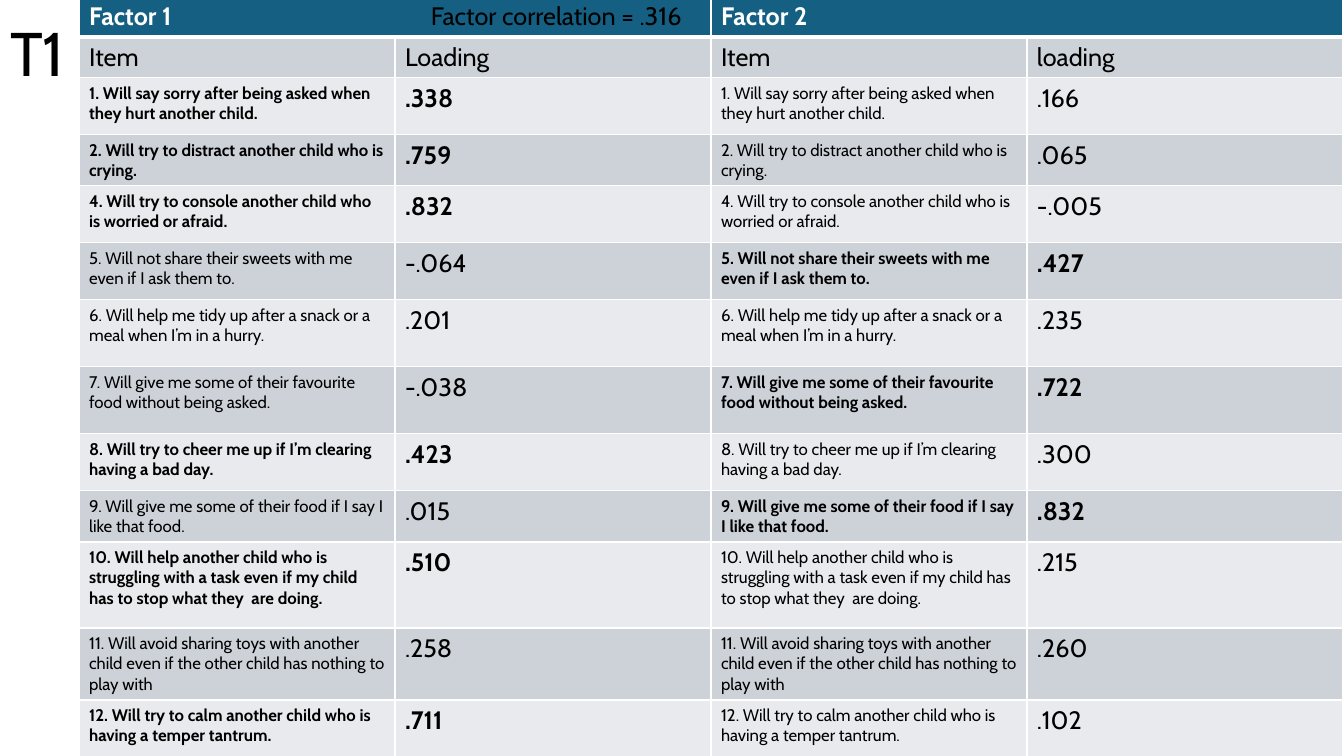
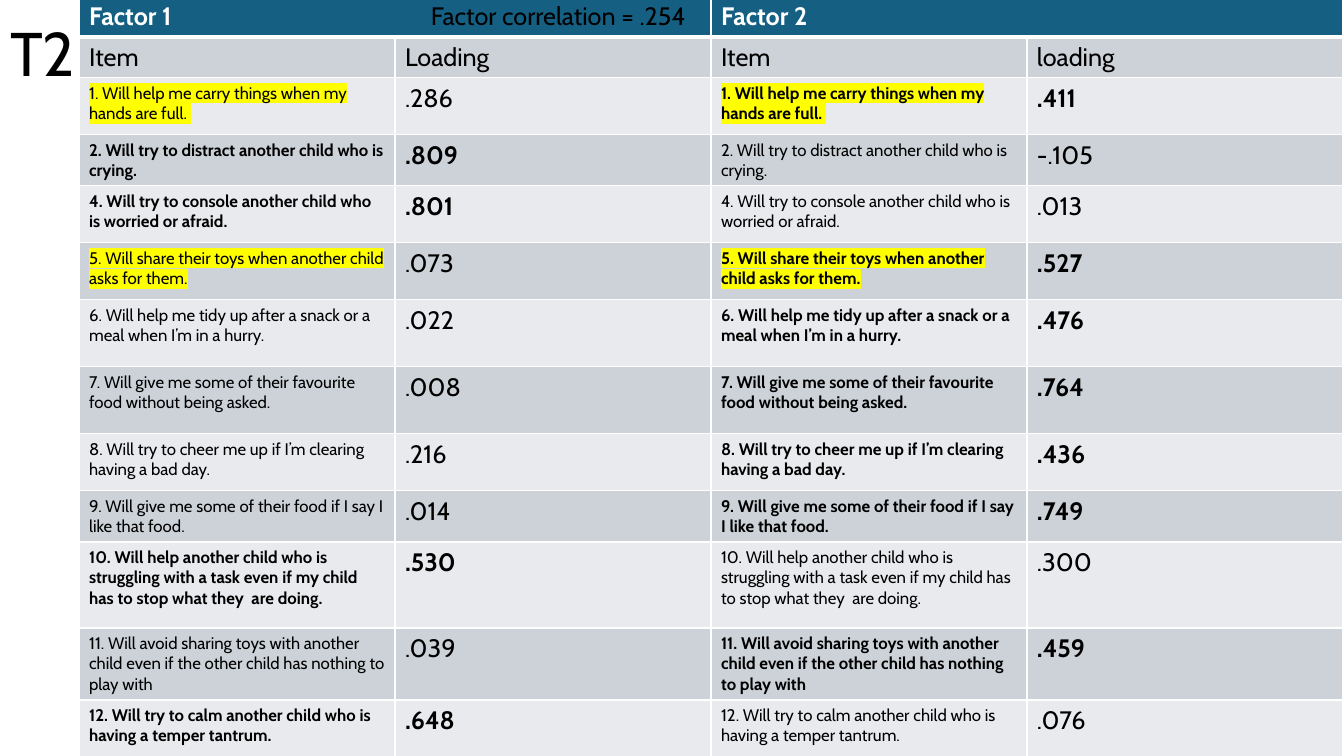
import pptx
import pptx.dml.color
import pptx.enum.text
import pptx.oxml
import pptx.oxml.ns
import pptx.util

COLORS = {
    "header": "156082",
    "band_dark": "CCD2D8",
    "band_light": "E8EAED",
    "white": "FFFFFF",
    "black": "000000",
    "marker": "FFFF00",
}
FONT = "Cabin"
SLIDE_WIDTH, SLIDE_HEIGHT = 1344, 756
EMU_PER_PX = 12192000 / SLIDE_WIDTH

TITLE_BOX = (0, -16, 1159, 146)
TABLE_LEFT, TABLE_TOP, COLUMN_WIDTH = 79, -4, 316
CORRELATION_BOX = (421, -5, 378, 40)
ROW_HEIGHTS = [40, 40, 57, 51, 57, 57, 67, 67, 57, 51, 86, 72, 57]
SALIENT_LOADING = 0.3

FACTORS = ["Factor 1", "Factor 2"]
COLUMN_HEADS = ["Item", "Loading", "Item", "loading"]
COMMON_ITEMS = {
    2: "Will try to distract another child who is crying.",
    4: "Will try to console another child who is worried or afraid.",
    6: "Will help me tidy up after a snack or a meal when I’m in a hurry.",
    7: "Will give me some of their favourite food without being asked.",
    8: "Will try to cheer me up if I’m clearing having a bad day.",
    9: "Will give me some of their food if I say I like that food.",
    10: "Will help another child who is struggling with a task even if my child "
        "has to stop what they  are doing.",
    11: "Will avoid sharing toys with another child even if the other child has "
        "nothing to play with",
    12: "Will try to calm another child who is having a temper tantrum.",
}
WAVES = [
    {
        "title": "T1",
        "correlation": ".316",
        "own_items": {
            1: "Will say sorry after being asked when they hurt another child.",
            5: "Will not share their sweets with me even if I ask them to.",
        },
        "marked": (),
        "loadings": [
            (".338", ".166"), (".759", ".065"), (".832", "-.005"),
            ("-.064", ".427"), (".201", ".235"), ("-.038", ".722"),
            (".423", ".300"), (".015", ".832"), (".510", ".215"),
            (".258", ".260"), (".711", ".102"),
        ],
    },
    {
        "title": "T2",
        "correlation": ".254",
        "own_items": {
            1: "Will help me carry things when my hands are full. ",
            5: "Will share their toys when another child asks for them.",
        },
        "marked": (1, 5),
        "loadings": [
            (".286", ".411"), (".809", "-.105"), (".801", ".013"),
            (".073", ".527"), (".022", ".476"), (".008", ".764"),
            (".216", ".436"), (".014", ".749"), (".530", ".300"),
            (".039", ".459"), (".648", ".076"),
        ],
    },
]


def px(length):
    return pptx.util.Emu(round(length * EMU_PER_PX))


def rgb(name):
    return pptx.dml.color.RGBColor.from_string(COLORS[name])


def drawing_xml(tag, attributes, content):
    namespace = pptx.oxml.ns.nsdecls("a")
    return pptx.oxml.parse_xml(f"<a:{tag} {namespace} {attributes}>{content}</a:{tag}>")


def write(frame, text, size=18, color="black", bold=False, marked=False, spacing=None):
    para = frame.paragraphs[0]
    para.alignment = pptx.enum.text.PP_ALIGN.LEFT
    if spacing:
        para.line_spacing = spacing
    span = para.add_run()
    span.text = text
    span.font.size = pptx.util.Pt(size)
    span.font.bold = bold
    span.font.color.rgb = rgb(color)
    if marked:
        fill = f'<a:srgbClr val="{COLORS["marker"]}"/>'
        span.font.fill._xPr.append(drawing_xml("highlight", "", fill))
    span.font.name = FONT


def style_cell(cell, row_number):
    if row_number == 0:
        fill = "header"
    else:
        fill = "band_dark" if row_number % 2 else "band_light"
    cell.fill.solid()
    cell.fill.fore_color.rgb = rgb(fill)
    widths = {"lnL": 1, "lnR": 1, "lnT": 3 if row_number == 1 else 1,
              "lnB": 3 if row_number == 0 else 1}
    line = f'<a:solidFill><a:srgbClr val="{COLORS["white"]}"/></a:solidFill>'
    properties = cell._tc.get_or_add_tcPr()
    for position, (side, points) in enumerate(widths.items()):
        width = f'w="{pptx.util.Pt(points)}"'
        properties.insert(position, drawing_xml(side, width, line))


def add_title(page, text):
    title = page.shapes.title
    title.left, title.top, title.width, title.height = map(px, TITLE_BOX)
    frame = title.text_frame
    frame.auto_size = pptx.enum.text.MSO_AUTO_SIZE.NONE
    frame.vertical_anchor = pptx.enum.text.MSO_ANCHOR.MIDDLE
    write(frame, text, size=44, spacing=0.9)


def add_loading_table(page, wave):
    columns = len(COLUMN_HEADS)
    bounds = (TABLE_LEFT, TABLE_TOP, COLUMN_WIDTH * columns, sum(ROW_HEIGHTS))
    table = page.shapes.add_table(len(ROW_HEIGHTS), columns, *map(px, bounds)).table
    for column in table.columns:
        column.width = px(COLUMN_WIDTH)
    for row_number, height in enumerate(ROW_HEIGHTS):
        table.rows[row_number].height = px(height)
        for column_number in range(columns):
            style_cell(table.cell(row_number, column_number), row_number)

    for factor_number, factor in enumerate(FACTORS):
        left = 2 * factor_number
        table.cell(0, left).merge(table.cell(0, left + 1))
        write(table.cell(0, left).text_frame, factor, color="white", bold=True)
    for column_number, head in enumerate(COLUMN_HEADS):
        write(table.cell(1, column_number).text_frame, head)

    items = sorted({**COMMON_ITEMS, **wave["own_items"]}.items())
    for row_number, ((number, item), loadings) in enumerate(zip(items, wave["loadings"]), 2):
        for factor_number, loading in enumerate(loadings):
            left = 2 * factor_number
            salient = float(loading) > SALIENT_LOADING
            write(table.cell(row_number, left).text_frame, f"{number}. {item}",
                  size=12, bold=salient, marked=number in wave["marked"])
            write(table.cell(row_number, left + 1).text_frame, loading, bold=salient)


def add_correlation(page, value):
    box = page.shapes.add_textbox(*map(px, CORRELATION_BOX))
    box.text_frame.word_wrap = True
    write(box.text_frame, f"Factor correlation = {value}")


def main():
    deck = pptx.Presentation()
    deck.slide_width, deck.slide_height = px(SLIDE_WIDTH), px(SLIDE_HEIGHT)
    title_only = deck.slide_layouts[5]
    for wave in WAVES:
        page = deck.slides.add_slide(title_only)
        add_title(page, wave["title"])
        add_loading_table(page, wave)
        add_correlation(page, wave["correlation"])
    deck.save("out.pptx")


if __name__ == "__main__":
    main()
